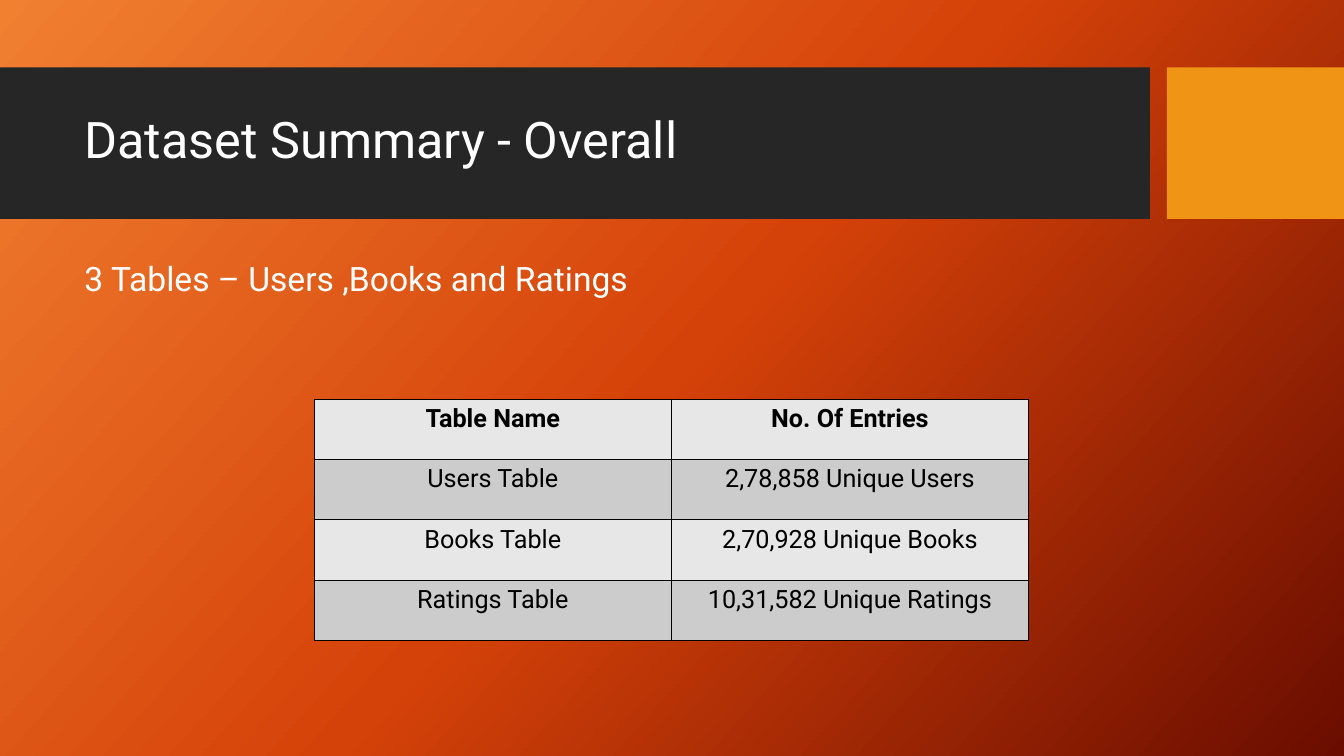
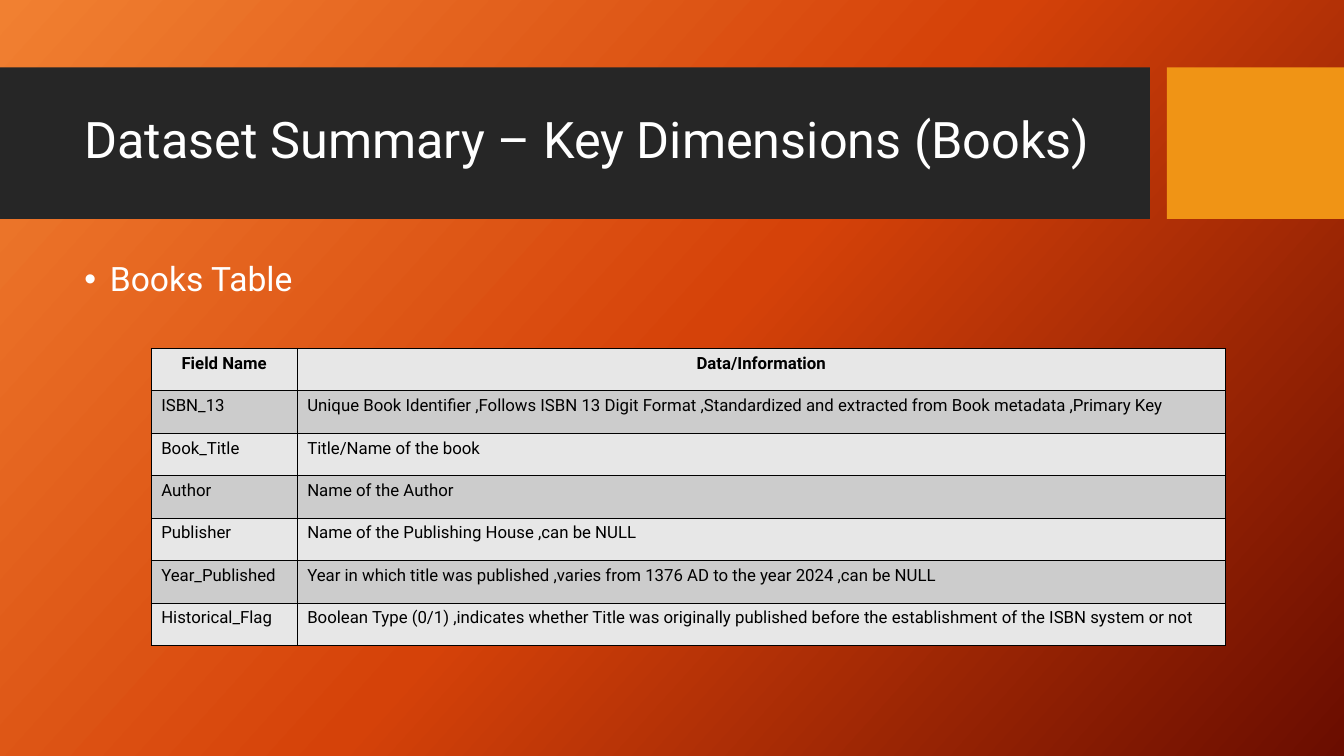
from copy import deepcopy

from lxml.etree import SubElement
from pptx import Presentation
from pptx.dml.color import RGBColor
from pptx.enum.shapes import MSO_SHAPE
from pptx.enum.text import MSO_ANCHOR, PP_ALIGN
from pptx.oxml.ns import qn
from pptx.util import Cm, Pt

FONT = "Roboto"
COLORS = {
    "band": "262626", "accent": "F09415", "light": "FFFFFF", "dark": "000000",
    "row_even": "E7E7E7", "row_odd": "CCCCCC",
}
GRADIENT = [(0, "F18031"), (0.5, "D54209"), (1, "6A0D00")]
GRADIENT_ANGLE = 360 - 42  # python-pptx measures counter-clockwise
SLIDE_SIZE = (33.87, 19.05)
BAND_TOP, BAND_HEIGHT = 1.7, 3.82
BANDS = [(0, 28.98, "band"), (29.41, 4.46, "accent")]  # left, width, colour
TITLE_BOX = (1.88, 2.08, 26.7, 3)
BODY_BOX = (1.88, 6.5, 26.7, 10)
BULLET_INDENT = 0.64

SLIDES = [
    {
        "title": "Dataset Summary - Overall",
        "body": "3 Tables – Users ,Books and Ratings",
        "bullet": False,
        "table": {
            "left": 7.92, "top": 10.06, "columns": [9, 9], "row_height": 1.52,
            "size": 18, "body_align": PP_ALIGN.CENTER,
            "rows": [
                ("Table Name", "No. Of Entries"),
                ("Users Table", "2,78,858 Unique Users"),
                ("Books Table", "2,70,928 Unique Books"),
                ("Ratings Table", "10,31,582 Unique Ratings"),
            ],
        },
    },
    {
        "title": "Dataset Summary – Key Dimensions (Books)",
        "body": "Books Table",
        "bullet": True,
        "table": {
            "left": 3.81, "top": 8.78, "columns": [3.68, 23.39], "row_height": 1.07,
            "size": 12, "body_align": PP_ALIGN.LEFT,
            "rows": [
                ("Field Name", "Data/Information"),
                ("ISBN_13", "Unique Book Identifier ,Follows ISBN 13 Digit Format ,"
                            "Standardized and extracted from Book metadata ,Primary Key"),
                ("Book_Title", "Title/Name of the book"),
                ("Author", "Name of the Author"),
                ("Publisher", "Name of the Publishing House ,can be NULL"),
                ("Year_Published", "Year in which title was published ,"
                                   "varies from 1376 AD to the year 2024 ,can be NULL"),
                ("Historical_Flag", "Boolean Type (0/1) ,indicates whether Title was originally "
                                    "published before the establishment of the ISBN system or not"),
            ],
        },
    },
]


def rgb(name):
    return RGBColor.from_string(COLORS[name])


def style_runs(paragraph, size, color, bold=False):
    for run in paragraph.runs:
        run.font.name = FONT
        run.font.size = Pt(size)
        run.font.bold = bold
        run.font.color.rgb = rgb(color)


def paint_background(slide):
    fill = slide.background.fill
    fill.gradient()
    fill.gradient_angle = GRADIENT_ANGLE
    stop_list = next(slide.element.iter(qn("a:gsLst")))
    stop_list.append(deepcopy(stop_list[-1]))
    for stop, (position, color) in zip(fill.gradient_stops, GRADIENT):
        stop.position = position
        stop.color.rgb = RGBColor.from_string(color)


def add_bands(slide):
    for left, width, color in BANDS:
        band = slide.shapes.add_shape(MSO_SHAPE.RECTANGLE, Cm(left), Cm(BAND_TOP),
                                      Cm(width), Cm(BAND_HEIGHT))
        band.shadow.inherit = False
        band.fill.solid()
        band.fill.fore_color.rgb = rgb(color)
        band.line.fill.background()


def add_text(slide, box, text, size, anchor=MSO_ANCHOR.TOP):
    text_frame = slide.shapes.add_textbox(*map(Cm, box)).text_frame
    text_frame.word_wrap = True
    text_frame.vertical_anchor = anchor
    text_frame.text = text
    paragraph = text_frame.paragraphs[0]
    paragraph.line_spacing = 0.9
    style_runs(paragraph, size, "light")
    return paragraph


def add_bullet(paragraph):
    properties = paragraph._p.get_or_add_pPr()
    properties.set("marL", str(Cm(BULLET_INDENT)))
    properties.set("indent", str(-Cm(BULLET_INDENT)))
    SubElement(properties, qn("a:buFont")).set("typeface", "Arial")
    SubElement(properties, qn("a:buChar")).set("char", "•")


def add_borders(cell):
    properties = cell._tc.get_or_add_tcPr()
    for side in ("a:lnL", "a:lnR", "a:lnT", "a:lnB"):
        line = SubElement(properties, qn(side), w=str(Pt(1)))
        fill = SubElement(line, qn("a:solidFill"))
        SubElement(fill, qn("a:srgbClr"), val=COLORS["dark"])


def add_table(slide, content):
    rows, columns = content["rows"], content["columns"]
    height = content["row_height"]
    table = slide.shapes.add_table(
        len(rows), len(columns), Cm(content["left"]), Cm(content["top"]),
        Cm(sum(columns)), Cm(height * len(rows))).table
    for column, width in zip(table.columns, columns):
        column.width = Cm(width)
    for row_index, texts in enumerate(rows):
        is_header = row_index == 0
        table.rows[row_index].height = Cm(height)
        for cell, text in zip(table.rows[row_index].cells, texts):
            add_borders(cell)
            cell.fill.solid()
            cell.fill.fore_color.rgb = rgb("row_odd" if row_index % 2 else "row_even")
            cell.text_frame.text = text
            paragraph = cell.text_frame.paragraphs[0]
            paragraph.alignment = PP_ALIGN.CENTER if is_header else content["body_align"]
            style_runs(paragraph, content["size"], "dark", bold=is_header)


def main():
    presentation = Presentation()
    presentation.slide_width, presentation.slide_height = map(Cm, SLIDE_SIZE)
    for content in SLIDES:
        slide = presentation.slides.add_slide(presentation.slide_layouts[6])
        paint_background(slide)
        add_bands(slide)
        add_text(slide, TITLE_BOX, content["title"], 36, MSO_ANCHOR.MIDDLE)
        body = add_text(slide, BODY_BOX, content["body"], 24)
        body.space_before = Pt(10)
        if content["bullet"]:
            add_bullet(body)
        add_table(slide, content["table"])
    presentation.save("out.pptx")


if __name__ == "__main__":
    main()
